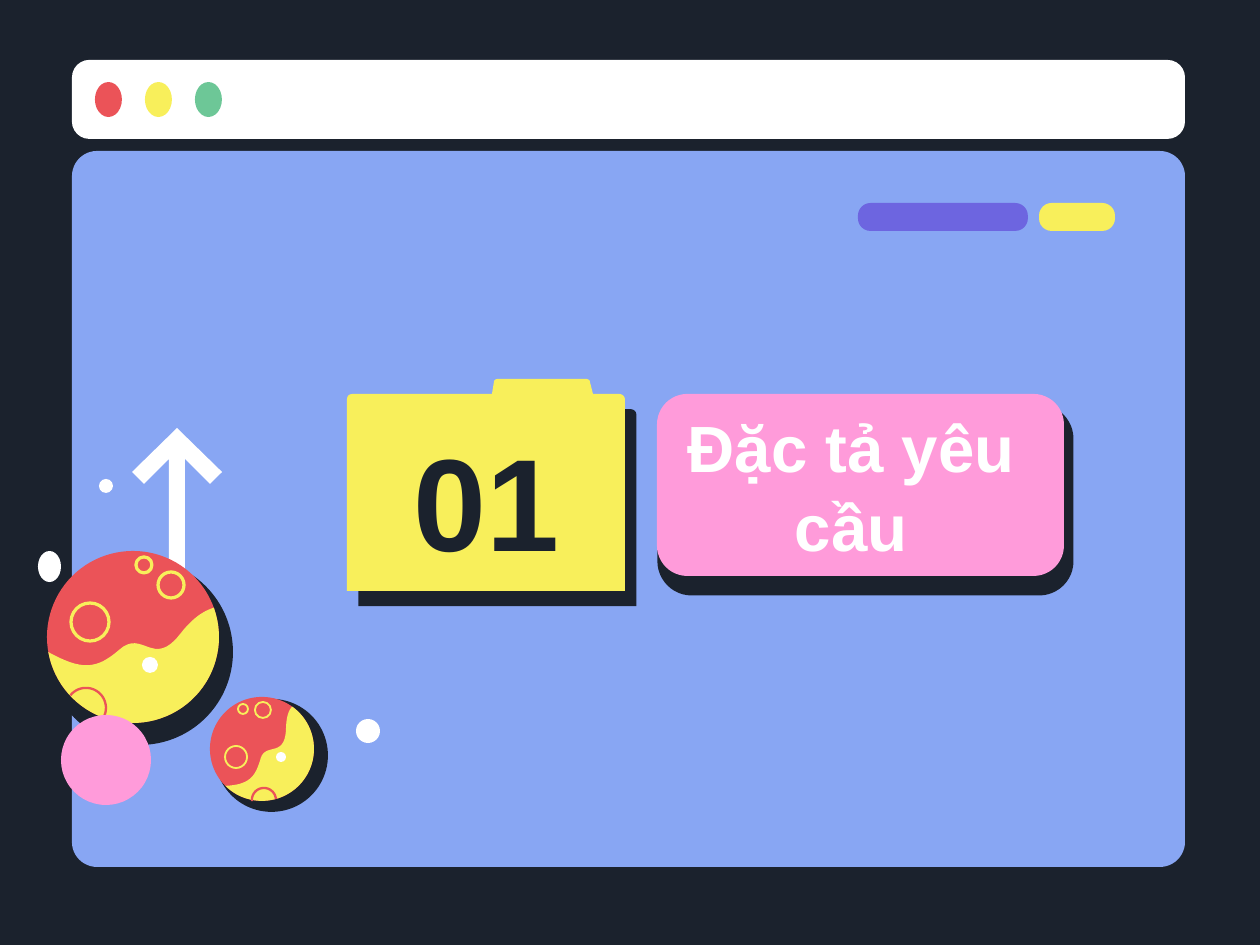
import math
from lxml import etree
from pptx import Presentation, util as u
from pptx.dml.color import RGBColor
from pptx.enum import shapes, text
from pptx.oxml import ns

# Content: every length is in px, boxes are (left, top, width, height)
PX_PER_INCH = 168
COLORS = {
    "dark": "1B222D", "white": "FFFFFF", "blue": "88A6F3", "red": "EB5358",
    "yellow": "F8EF5B", "green": "6DC797", "purple": "6D65E0", "pink": "FF9BDA",
}
PANELS = [  # box, corner ratio, colour
    ((72, 151, 1113, 716), 0.035, "blue"),
    ((72, 60, 1113, 79), 0.22, "white"),
    ((858, 203, 170, 28), 0.45, "purple"),
    ((1039, 203, 76, 28), 0.45, "yellow"),
]
WINDOW_BUTTONS = ["red", "yellow", "green"]
LEFT_OVAL = (38, 551, 23, 31)
ARROW = [(169, 659), (169, 459), (144, 484), (132, 472), (177, 428),
         (222, 472), (210, 484), (185, 459), (185, 659)]
CARD = (657, 394, 407, 182)
CARD_SHADOW = (661, 408, 409, 184)
# An outline holds line points (x, y) and cubic curves (x1, y1, x2, y2, x, y)
FOLDER = [(625, 400), (625, 591), (347, 591), (347, 400),
          (347, 396, 349, 394, 353, 394), (492, 394), (494, 382),
          (494, 380, 496, 379, 498, 379), (586, 379),
          (588, 379, 590, 380, 590, 382), (593, 394), (619, 394),
          (622, 394, 625, 396, 625, 400)]
LABELS = [  # words, box, size in points, colour
    ("Đặc tả yêu cầu", (672, 428, 358, 116), 28, "white"),
    ("01", (380, 437, 213, 124), 56.2, "dark"),
]
PLANETS = [
    dict(center=(133, 637), radius=86, shadow=(47, 559, 186, 186),
         rings=[(171, 585, 13), (90, 622, 19), (144, 565, 8)], ring_width=1.4,
         start=(213, 608), end=(48, 652),
         wave=[(81, 670, 96, 670, 119, 650), (143, 628, 153, 670, 181, 633),
               (195, 615, 207, 610, 213, 608)],
         crater=(86, 708, 20), crater_angles=(-141, 27), dot=(150, 665, 8)),
    dict(center=(262, 749), radius=52, shadow=(215, 699, 113, 113),
         rings=[(263, 710, 8), (236, 757, 11), (243, 709, 5)], ring_width=0.8,
         start=(292, 707), end=(225, 786),
         wave=[(249, 785, 255, 777, 260, 761), (264, 741, 284, 759, 286, 731),
               (286, 717, 289, 710, 292, 707)],
         crater=(264, 800, 12), crater_angles=(-185, -5), dot=(281, 757, 5)),
]
PINK_BALL = (106, 760, 45)
SPARKS = [(368, 731, 12), (106, 486, 7)]


def px(value):
    return u.Emu(round(value * 914400 / PX_PER_INCH))


def color(name):
    return RGBColor.from_string(COLORS[name])


def paint(shape, fill=None, line=None, width=1):
    shape.shadow.inherit = False
    if fill:
        shape.fill.solid()
        shape.fill.fore_color.rgb = color(fill)
    else:
        shape.fill.background()
    if line:
        shape.line.color.rgb = color(line)
        shape.line.width = u.Pt(width)
    else:
        shape.line.fill.background()
    return shape


def add_preset(kind, box, fill=None, line=None, width=1):
    shape = page.shapes.add_shape(kind, *map(px, box))
    return paint(shape, fill, line, width)


def add_panel(box, corner, fill, line=None, width=1):
    shape = add_preset(shapes.MSO_SHAPE.ROUNDED_RECTANGLE, box, fill, line, width)
    shape.adjustments[0] = corner


def add_oval(box, fill):
    add_preset(shapes.MSO_SHAPE.OVAL, box, fill)


def add_circle(circle, fill=None, line=None, width=1):
    x, y, radius = circle
    box = (x - radius, y - radius, 2 * radius, 2 * radius)
    add_preset(shapes.MSO_SHAPE.OVAL, box, fill, line, width)


def flatten(outline, steps=16):
    points = []
    for part in outline:
        if len(part) == 2:
            points.append(part)
            continue
        controls = [points[-1], part[:2], part[2:4], part[4:]]
        for step in range(1, steps + 1):
            t = step / steps
            weights = ((1 - t) ** 3, 3 * t * (1 - t) ** 2, 3 * t * t * (1 - t), t ** 3)
            points.append(tuple(sum(w * c[axis] for w, c in zip(weights, controls))
                                for axis in (0, 1)))
    return points


def arc(center, radius, start, end, steps=48):
    angles = [math.radians(start + (end - start) * i / steps) for i in range(steps + 1)]
    return [(center[0] + radius * math.cos(a), center[1] + radius * math.sin(a))
            for a in angles]


def add_outline(outline, fill=None, line=None, width=1, close=True):
    points = [(px(x), px(y)) for x, y in flatten(outline)]
    builder = page.shapes.build_freeform(*points[0], scale=1.0)
    builder.add_line_segments(points[1:], close=close)
    return paint(builder.convert_to_shape(), fill, line, width)


def angle_of(center, point):
    return math.degrees(math.atan2(point[1] - center[1], point[0] - center[0]))


def add_planet(planet):
    center, radius = planet["center"], planet["radius"]
    add_oval(planet["shadow"], "dark")
    add_circle((*center, radius), "red")
    for ring in planet["rings"]:
        add_circle(ring, line="yellow", width=planet["ring_width"])
    rim = arc(center, radius, angle_of(center, planet["start"]),
              angle_of(center, planet["end"]))
    add_outline(rim + [planet["end"]] + planet["wave"], "yellow")
    x, y, crater_radius = planet["crater"]
    add_outline(arc((x, y), crater_radius, *planet["crater_angles"]),
                line="red", width=1, close=False)
    add_circle(planet["dot"], "white")


def add_label(words, box, size, ink):
    label = page.shapes.add_textbox(*map(px, box))
    frame = label.text_frame
    frame.word_wrap = True
    frame.vertical_anchor = text.MSO_ANCHOR.MIDDLE
    frame.margin_left = frame.margin_right = px(12)
    frame.margin_top = frame.margin_bottom = px(12)
    para = frame.paragraphs[0]
    para.alignment = text.PP_ALIGN.CENTER
    span = para.add_run()
    span.text = words
    span.font.name = "Arial"
    span.font.size = u.Pt(size)
    span.font.bold = True
    span.font.color.rgb = color(ink)


deck = Presentation()
deck.slide_width, deck.slide_height = px(1260), px(945)
page = deck.slides.add_slide(deck.slide_layouts[6])
page.background.fill.solid()
page.background.fill.fore_color.rgb = color("dark")

# Browser window
for panel in PANELS:
    add_panel(*panel)
for index, name in enumerate(WINDOW_BUTTONS):
    add_oval((95 + 50 * index, 82, 27, 35), name)
add_oval(LEFT_OVAL, "white")
add_outline(ARROW, "white")

# Title card and numbered folder
add_panel(CARD_SHADOW, 0.167, "dark", "dark", 3)
add_panel(CARD, 0.167, "pink")
folder = add_outline(FOLDER, "yellow")
effects = folder.element.spPr.find(ns.qn("a:effectLst"))
shade = etree.SubElement(effects, ns.qn("a:outerShdw"), dist=str(u.Pt(8.2)),
                         dir=str(53 * 60000), algn="bl", rotWithShape="0")
etree.SubElement(shade, ns.qn("a:srgbClr"), val=COLORS["dark"])
for label_data in LABELS:
    add_label(*label_data)

# Planets and sparks
add_planet(PLANETS[0])
add_circle(PINK_BALL, "pink")
add_planet(PLANETS[1])
for spark in SPARKS:
    add_circle(spark, "white")

deck.save("out.pptx")
